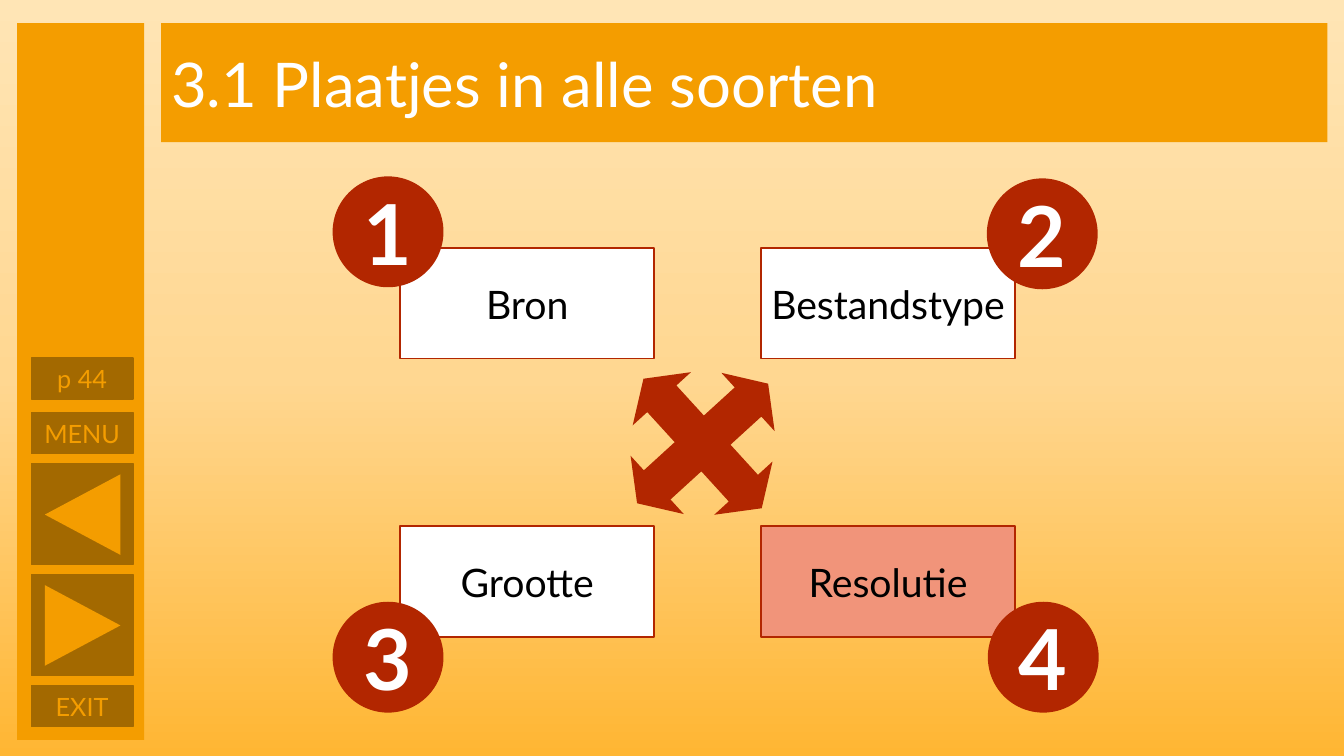
from copy import deepcopy
from dataclasses import dataclass
from typing import Optional

from pptx import Presentation
from pptx.dml.color import RGBColor
from pptx.enum.shapes import MSO_SHAPE as Kind
from pptx.enum.text import MSO_ANCHOR as Anchor, PP_ALIGN as Align
from pptx.oxml.ns import qn
from pptx.shapes.autoshape import Shape
from pptx.slide import Slide
from pptx.util import Inches, Pt

CELL = Inches(0.1)
COLUMNS, ROWS = 133.33, 75

WHITE = RGBColor(0xFF, 0xFF, 0xFF)
BLACK = RGBColor(0x00, 0x00, 0x00)
ORANGE = RGBColor(0xF4, 0x9D, 0x00)
BROWN = RGBColor(0xA3, 0x69, 0x00)
RED = RGBColor(0xB2, 0x26, 0x00)
SALMON = RGBColor(0xF1, 0x94, 0x7A)
SKY = (
    (0, RGBColor(0xFF, 0xE5, 0xB5)),
    (0.5, RGBColor(0xFF, 0xD7, 0x91)),
    (1, RGBColor(0xFF, 0xB6, 0x33)),
)


@dataclass(frozen=True)
class Area:
    column: float
    row: float
    columns: float
    rows: float


@dataclass(frozen=True)
class Style:
    fill: RGBColor
    line: Optional[RGBColor] = None
    ink: RGBColor = WHITE
    size: int = 18
    bold: bool = False
    align: Align = Align.CENTER


@dataclass(frozen=True)
class Topic:
    name: str
    column: float
    row: float
    badge_column: float
    badge_row: float
    fill: RGBColor = WHITE


@dataclass(frozen=True)
class Button:
    label: str
    row: float
    rows: float = 4.1
    arrow_turn: int = 0


LEFT, RIGHT, UPPER, LOWER = 39.7, 75.5, 24.6, 52.2
TOPICS = (
    Topic("Bron", LEFT, UPPER, 33, 17.5),
    Topic("Bestandstype", RIGHT, UPPER, 97.9, 17.7),
    Topic("Grootte", LEFT, LOWER, 33, 59.7),
    Topic("Resolutie", RIGHT, LOWER, 98, 59.7, SALMON),
)
BUTTONS = (
    Button("p 44", 35.5),
    Button("MENU", 40.9),
    Button("", 46, 10, 270),
    Button("", 57, 10, 90),
    Button("EXIT", 68),
)
TITLE = Style(ORANGE, size=44, align=Align.LEFT)
BUTTON = Style(BROWN, BROWN, ORANGE)
BADGE = Style(RED, size=60, bold=True)


def draw(slide: Slide, kind: Kind, area: Area, style: Style, text: str = "") -> Shape:
    lengths = (area.column, area.row, area.columns, area.rows)
    shape = slide.shapes.add_shape(kind, *(round(n * CELL) for n in lengths))
    shape.shadow.inherit = False
    shape.fill.solid()
    shape.fill.fore_color.rgb = style.fill
    if style.line is None:
        shape.line.fill.background()
    else:
        shape.line.color.rgb = style.line
        shape.line.width = Pt(1)
    if text:
        frame = shape.text_frame
        frame.word_wrap = True
        frame.vertical_anchor = Anchor.MIDDLE
        paragraph = frame.paragraphs[0]
        paragraph.text = text
        paragraph.alignment = style.align
        font = paragraph.font
        font.name = "Lato"
        font.size = Pt(style.size)
        font.bold = style.bold
        font.color.rgb = style.ink
    return shape


def paint_background(slide: Slide) -> None:
    fill = slide.background.fill
    fill.gradient()
    fill.gradient_angle = 270
    stop_list = slide.element.find(".//" + qn("a:gsLst"))
    stop_list.append(deepcopy(stop_list[-1]))
    for stop, (position, color) in zip(fill.gradient_stops, SKY):
        stop.position = position
        stop.color.rgb = color


def draw_button(slide: Slide, button: Button) -> None:
    draw(slide, Kind.RECTANGLE, Area(3.1, button.row, 10.1, button.rows), BUTTON, button.label)
    if button.arrow_turn:
        area = Area(4.2, button.row + 1.3, 8, 7.5)
        draw(slide, Kind.ISOSCELES_TRIANGLE, area, Style(ORANGE)).rotation = button.arrow_turn


def draw_topic(slide: Slide, topic: Topic, number: int) -> None:
    card = Style(topic.fill, RED, BLACK, 28)
    draw(slide, Kind.RECTANGLE, Area(topic.column, topic.row, 25.2, 11), card, topic.name)
    badge = Area(topic.badge_column, topic.badge_row, 11, 11)
    draw(slide, Kind.OVAL, badge, BADGE, str(number))


def draw_cross(slide: Slide) -> None:
    cross = draw(slide, Kind.QUAD_ARROW, Area(61, 35.2, 17.4, 17.6), Style(RED))
    cross.rotation = 47.6
    for index, share in enumerate((0.225, 0.225, 0.155)):
        cross.adjustments[index] = share


def main() -> None:
    deck = Presentation()
    deck.slide_width = round(COLUMNS * CELL)
    deck.slide_height = ROWS * CELL
    slide = deck.slides.add_slide(deck.slide_layouts[6])
    paint_background(slide)
    draw(slide, Kind.RECTANGLE, Area(16, 2.3, 115.7, 11.8), TITLE, "3.1 Plaatjes in alle soorten")
    draw(slide, Kind.RECTANGLE, Area(1.7, 2.3, 12.6, 71.1), Style(ORANGE))
    for button in BUTTONS:
        draw_button(slide, button)
    draw_cross(slide)
    for number, topic in enumerate(TOPICS, 1):
        draw_topic(slide, topic, number)
    deck.save("out.pptx")


if __name__ == "__main__":
    main()
